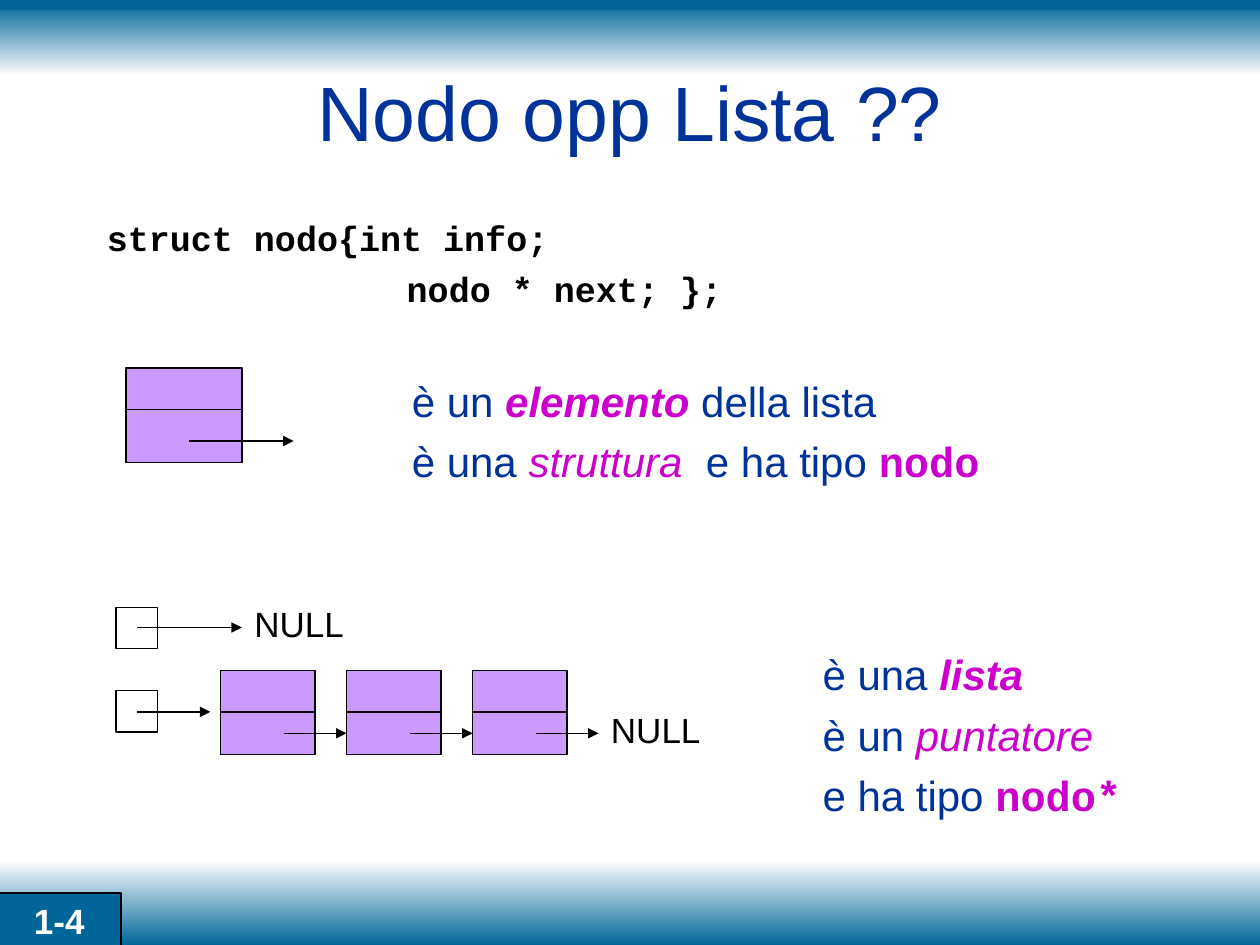
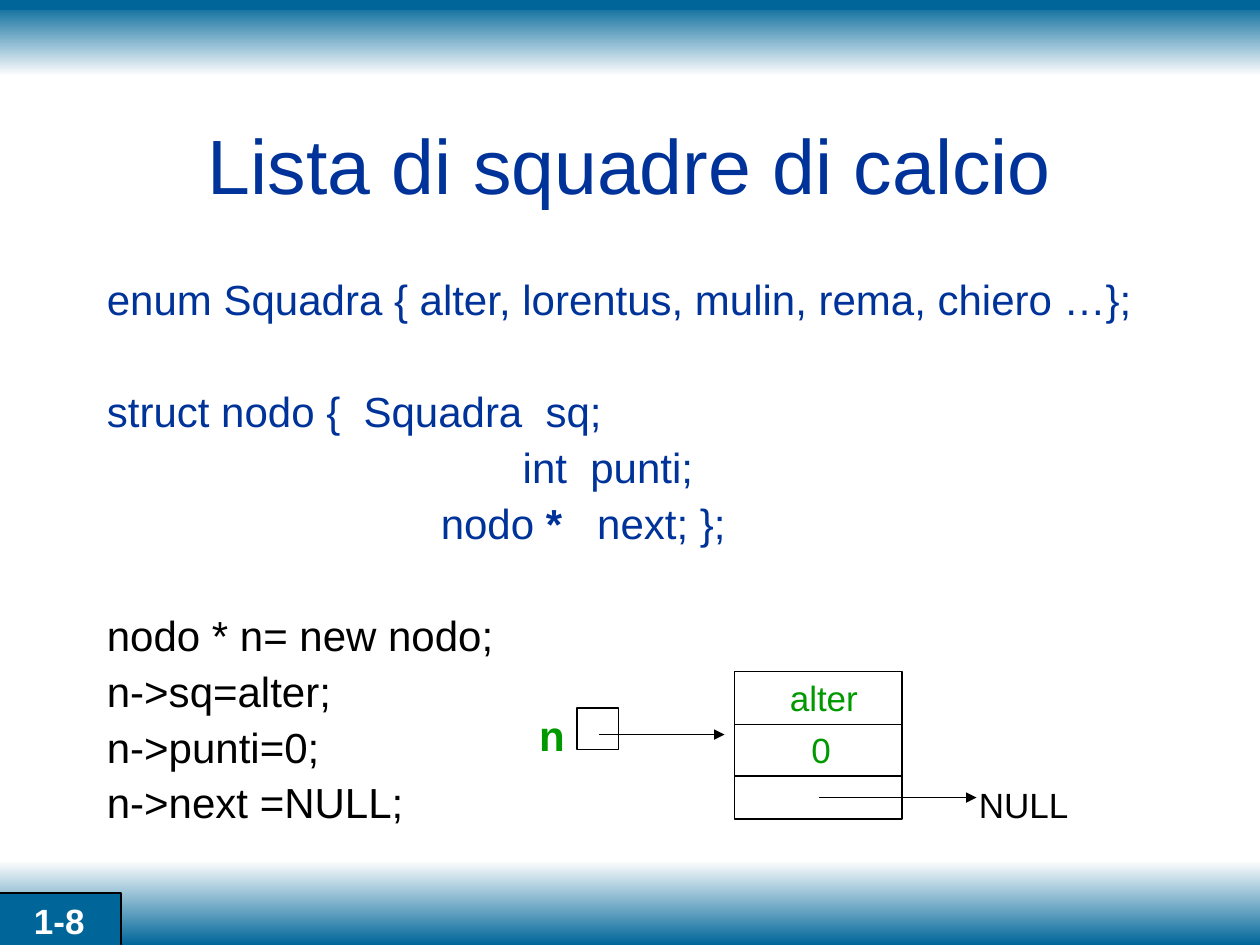
import pptx
import pptx.util
import pptx.dml.color
import pptx.enum.dml
import pptx.enum.shapes
import pptx.enum.text
import pptx.oxml.ns
import lxml.etree

Inches = pptx.util.Inches
Pt = pptx.util.Pt
SHAPE = pptx.enum.shapes.MSO_SHAPE
ANCHOR = pptx.enum.text.MSO_ANCHOR
CENTER = pptx.enum.text.PP_ALIGN.CENTER

COLORS = {
    "band": "006699", "pale": "FEFEFE", "white": "FFFFFF", "black": "000000",
    "blue": "003399", "pink": "CC00CC", "green": "009900", "node": "CC99FF",
}
MONO = "Courier New"
PINK = dict(color="pink", italic=True)
STRONG = dict(PINK, bold=True)
TYPE = dict(color="pink", bold=True, font=MONO)


def color(name):
    return pptx.dml.color.RGBColor.from_string(COLORS[name])


def tag(parent, name, **attrs):
    return lxml.etree.SubElement(parent, pptx.oxml.ns.qn(name), **attrs)


# Text: a line is a string, or a list of strings and (string, format) pairs
def write(par, line, size=20, font="Arial", color_name="black", bold=False,
          italic=False, align=None, lead=None, before=0, indent=0):
    par.alignment = align
    par.line_spacing = lead
    par.space_before = Pt(before)
    par._p.get_or_add_pPr().set("marL", str(Inches(indent)))
    for part in [line] if isinstance(line, str) else line:
        words, own = (part, {}) if isinstance(part, str) else part
        run = par.add_run()
        run.text = words
        run.font.size = Pt(size)
        run.font.name = own.get("font", font)
        run.font.bold = own.get("bold", bold)
        run.font.italic = own.get("italic", italic)
        run.font.color.rgb = color(own.get("color", color_name))


def frame(shape, lines, wrap=True, anchor=ANCHOR.TOP, **style):
    body = shape.text_frame
    body.word_wrap = wrap
    body.vertical_anchor = anchor
    for num, line in enumerate(lines):
        par = body.add_paragraph() if num else body.paragraphs[0]
        words, own = line if isinstance(line, tuple) else (line, {})
        write(par, words, **{**style, **own})


def text(slide, box, *lines, **style):
    shape = slide.shapes.add_textbox(*map(Inches, box))
    frame(shape, lines, **style)


def label(slide, box, words, **style):
    text(slide, box, words, wrap=False, **style)


# Shapes and lines
def rect(slide, box, fill=None, edge=0.75):
    shape = slide.shapes.add_shape(SHAPE.RECTANGLE, *map(Inches, box))
    shape.shadow.inherit = False
    if fill:
        shape.fill.solid()
        shape.fill.fore_color.rgb = color(fill)
    else:
        shape.fill.background()
    if edge:
        shape.line.color.rgb = color("black")
        shape.line.width = Pt(edge)
    else:
        shape.line.fill.background()
    return shape


def line(slide, x1, y1, x2, y2, arrow=False, shade="black", width=0.75):
    kind = pptx.enum.shapes.MSO_CONNECTOR.STRAIGHT
    link = slide.shapes.add_connector(kind, *map(Inches, (x1, y1, x2, y2)))
    link.line.color.rgb = color(shade)
    link.line.width = Pt(width)
    if arrow:
        tag(link.line._get_or_add_ln(), "a:tailEnd", type="triangle")
    tag(link._element.spPr, "a:effectLst")


# Parts shared by the slides
def band(slide, box, *shades):
    shape = rect(slide, box, edge=0)
    shape.fill.gradient()
    shape.fill.gradient_angle = 270
    for stop, shade in zip(shape.fill.gradient_stops, shades):
        stop.color.rgb = color(shade)


def base(deck, title, top, number):
    slide = deck.slides.add_slide(deck.slide_layouts[6])
    band(slide, (0, 0.02, 10, 0.58), "band", "pale")
    band(slide, (0, 6.83, 10, 0.67), "pale", "band")
    line(slide, 0, 0.04, 10, 0.04, shade="band", width=6)
    badge = rect(slide, (-0.02, 7.09, 0.98, 0.44), "band", 1)
    frame(badge, [number], color_name="white", bold=True, align=CENTER)
    text(slide, (0.75, top, 8.5, 1.25), title, size=44, color_name="blue",
         align=CENTER, anchor=ANCHOR.MIDDLE)
    return slide


# A node: cuts and arrow (start, end, height) are measured from its corner
def node(slide, box, cuts, arrow, fill=None):
    x, y, w, h = box
    rect(slide, box, fill)
    for cut in cuts:
        line(slide, x, y + cut, x + w, y + cut)
    start, end, drop = arrow
    line(slide, x + start, y + drop, x + end, y + drop, arrow=True)


def pointer(slide, x, y, reach, drop=0.16):
    node(slide, (x, y, 0.33, 0.33), [], (0.17, reach, drop))


def null(slide, x, y):
    label(slide, (x, y, 0.91, 0.44), "NULL")


def chain(slide, x, y, count=3, step=1):
    pointer(slide, x, y + 0.16, 0.75, 0.17)
    first = x + 0.83
    for num in range(count):
        node(slide, (first + num * step, y, 0.75, 0.67), [0.33],
             (0.5, step, 0.5), "node")
    null(slide, first + count * step, y + 0.25)


def record(slide, x, y):
    node(slide, (x, y, 1.33, 1.17), [0.42, 0.83], (0.67, 1.92, 1))
    pointer(slide, x - 1.25, y + 0.29, 1.17, 0.21)
    null(slide, x + 1.84, y + 0.84)
    label(slide, (x - 1.65, y + 0.25, 0.4, 0.5), "n", size=24,
          color_name="green", bold=True)
    label(slide, (x + 0.34, y - 0.01, 0.8, 0.44), "alter",
          color_name="green")
    label(slide, (x + 0.51, y + 0.4, 0.35, 0.44), "0", color_name="green")


# Slide types
def compare(deck):
    slide = base(deck, "Nodo opp Lista ??", 0.25, "1-4")
    text(slide, (0.75, 1.67, 8.5, 1.17), "struct nodo{int info;",
         ("nodo * next; };", dict(indent=2.38)),
         font=MONO, bold=True, before=5)
    note = dict(size=24, color_name="blue", lead=1.2)

    # Single element
    node(slide, (1, 2.92, 0.92, 0.75), [0.33], (0.5, 1.33, 0.58), "node")
    text(slide, (3.17, 2.85, 4.9, 1.06),
         ["è un ", ("elemento ", STRONG), "della lista"],
         ["è una ", ("struttura", PINK), "  e ha tipo ", ("nodo", TYPE)],
         **note)

    # Empty list and full list
    pointer(slide, 0.92, 4.82, 1)
    null(slide, 1.92, 4.73)
    chain(slide, 0.92, 5.32)
    text(slide, (6.43, 5.02, 2.7, 1.54),
         ["è una ", ("lista", STRONG)],
         ["è un ", ("puntatore", PINK)],
         ["e ha tipo ", ("nodo*", TYPE)], **note)


def teams(deck):
    slide = base(deck, "Lista di squadre di calcio", 0.67, "1-8")
    gap = dict(before=38)
    black = dict(color_name="black")
    text(slide, (0.75, 2.17, 8.75, 4.58),
         "enum Squadra { alter, lorentus, mulin, rema, chiero …};",
         ("struct nodo {  Squadra  sq;", gap),
         ("int  punti;", dict(indent=3.3)),
         (["nodo ", ("*", dict(bold=True)), "   next; };"],
          dict(indent=2.65)),
         ("nodo * n= new nodo;", {**gap, **black}),
         ("n->sq=alter;", black),
         ("n->punti=0;", black),
         ("n->next =NULL;", black),
         size=24, color_name="blue", lead=0.9, before=6)
    record(slide, 5.83, 5.33)


def main():
    deck = pptx.Presentation()
    deck.slide_width, deck.slide_height = Inches(10), Inches(7.5)
    compare(deck)
    teams(deck)
    deck.save("out.pptx")


if __name__ == "__main__":
    main()
